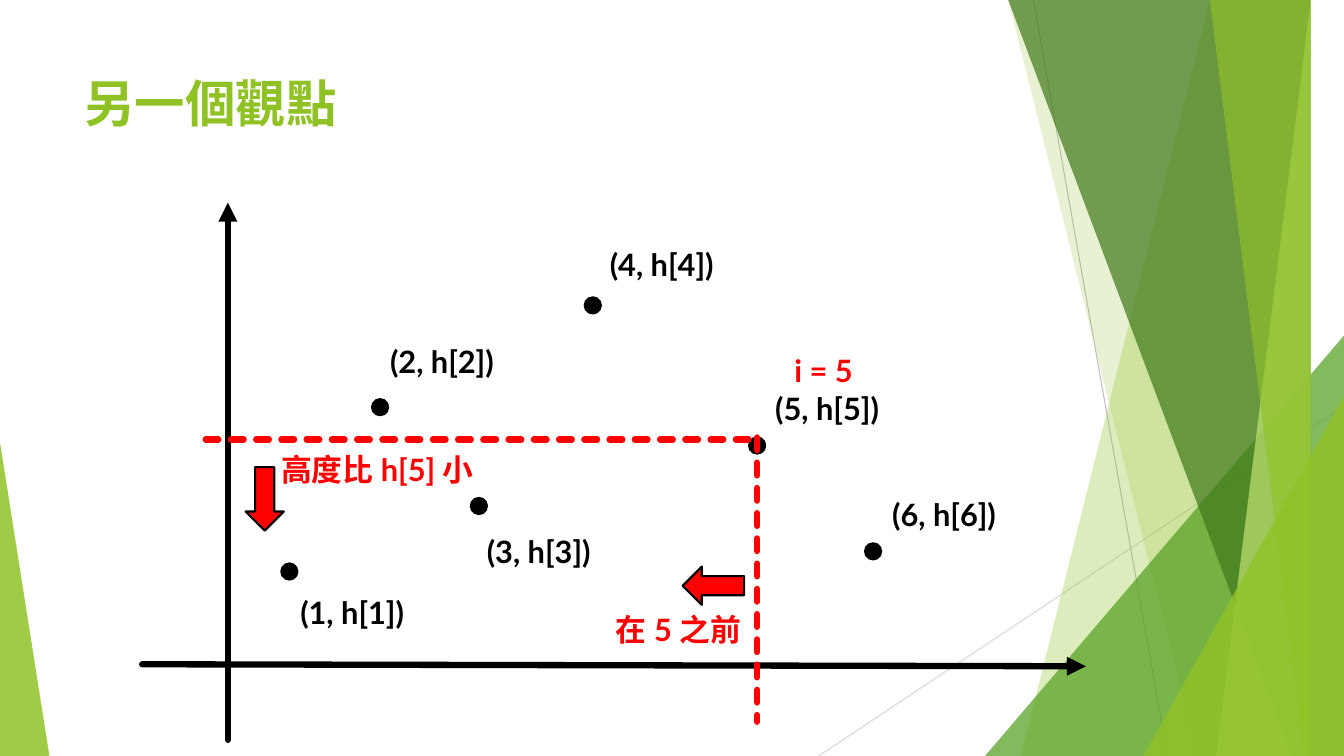
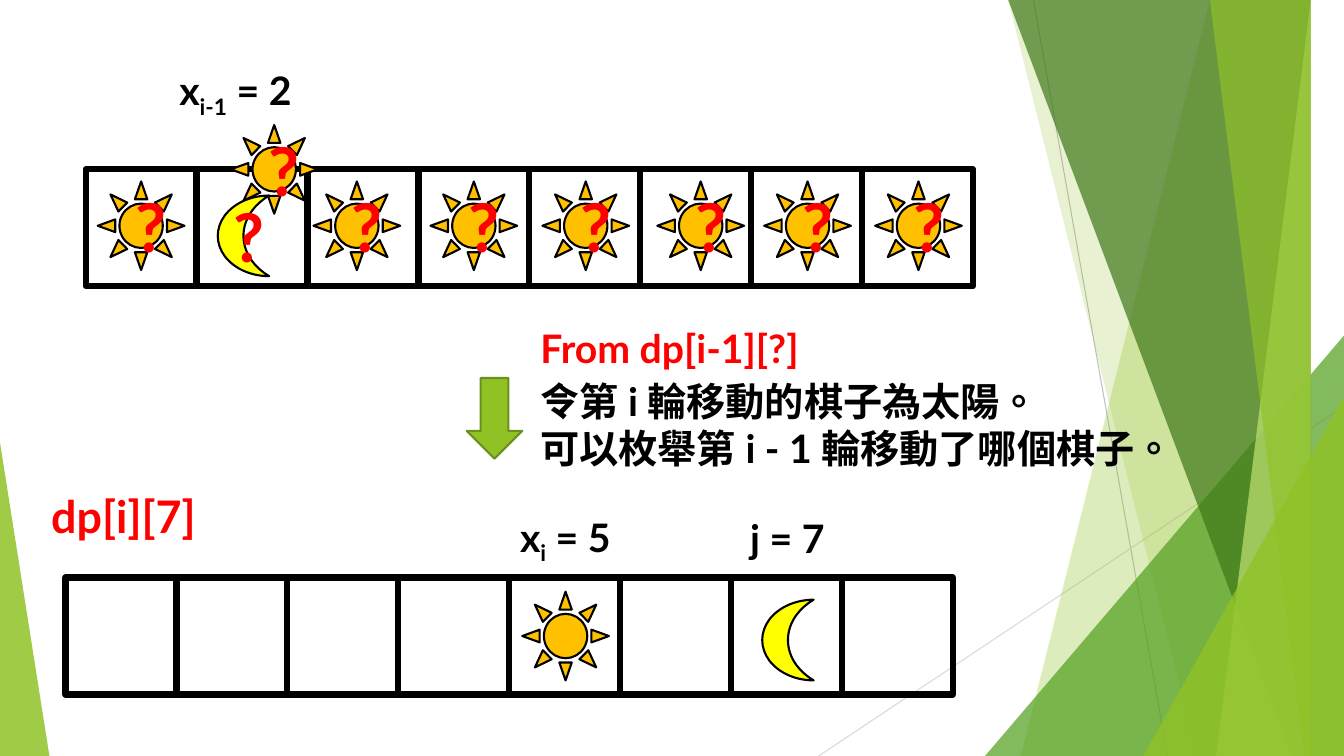
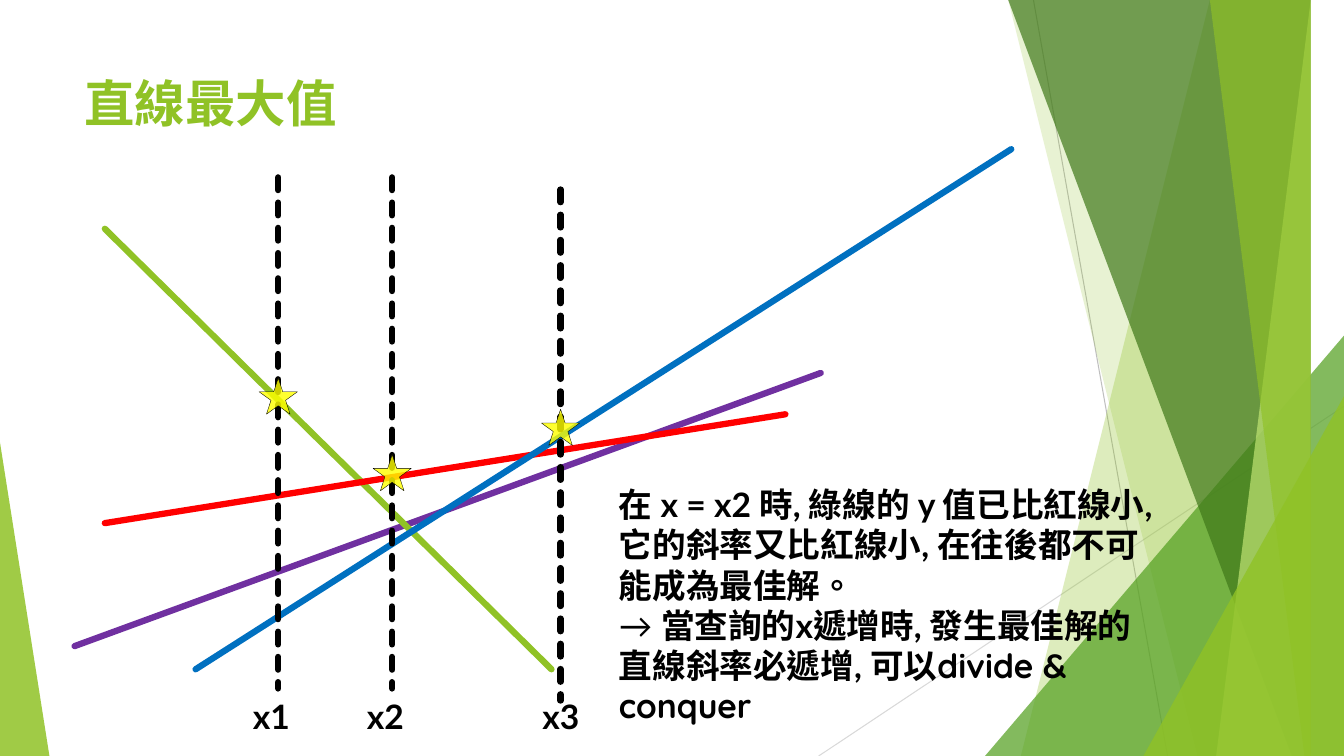
from dataclasses import dataclass

from lxml import etree
from pptx import Presentation, util as u
from pptx.dml.color import RGBColor
from pptx.enum import dml, lang, shapes, text
from pptx.oxml.ns import qn

KIND = shapes.MSO_SHAPE


@dataclass(frozen=True)
class Theme:
    """Colours, fonts and sizes shared by the slides."""
    green: str = "90C226"
    leaf: str = "54A021"
    dark: str = "3F7819"
    lime: str = "C0E474"
    edge: str = "6B901C"
    black: str = "000000"
    red: str = "FF0000"
    gold: str = "FFC000"
    yellow: str = "FFFF00"
    blue: str = "0070C0"
    purple: str = "7030A0"
    gray: str = "BFBFBF"
    pale: str = "D9D9D9"
    font: str = "Lato"
    alt: str = "Quicksand"
    title: int = 36
    label: int = 22
    body: int = 24
    note: int = 28
    state: int = 32
    mark: int = 48
    thick: float = 4.5
    thin: float = 1.5
    hair: float = 0.75
    fine: float = 0.25


T = Theme()


def paint(shape, fill=None, line=None, width=T.thin, alpha=100):
    """Set the fill, opacity and outline of a shape."""
    shape.shadow.inherit = False
    if fill:
        shape.fill.solid()
        shape.fill.fore_color.rgb = RGBColor.from_string(fill)
        if alpha < 100:
            tone = shape._element.spPr.find(qn("a:solidFill"))[0]
            etree.SubElement(tone, qn("a:alpha"), val=str(alpha * 1000))
    else:
        shape.fill.background()
    if line:
        shape.line.color.rgb = RGBColor.from_string(line)
        shape.line.width = u.Pt(width)
    else:
        shape.line.fill.background()
    return shape


def write(para, words, size, color, bold=True, base=0, font=T.font):
    """Add one styled run to a paragraph."""
    run = para.add_run()
    run.text = words
    run.font.size = u.Pt(size)
    run.font.bold = bold
    run.font.name = font
    run.font.color.rgb = RGBColor.from_string(color)
    run.font.language_id = lang.MSO_LANGUAGE_ID.TRADITIONAL_CHINESE
    props = run._r.get_or_add_rPr()
    props.find(qn("a:latin")).addnext(props.makeelement(qn("a:ea"), {"typeface": T.font}))
    if base:
        props.set("baseline", str(base * 1000))


class Box:
    """A region of a slide whose items are placed from its top left corner."""

    def __init__(self, page, x=0, y=0):
        """Keep the slide and the corner."""
        self.page, self.x, self.y = page, x, y

    def spot(self, x, y):
        """Return a point of the region as slide lengths."""
        return u.Inches(self.x + x), u.Inches(self.y + y)

    def shape(self, kind, x, y, w, h, turn=0, **look):
        """Add a painted preset shape."""
        shape = self.page.shapes.add_shape(kind, *self.spot(x, y), u.Inches(w), u.Inches(h))
        shape.rotation = turn
        return paint(shape, **look)

    def line(self, start, end, color=T.black, width=T.thick, dash=False, head=False):
        """Add a straight line, dashed or with an arrowhead on request."""
        line = self.page.shapes.add_connector(
            shapes.MSO_CONNECTOR.STRAIGHT, *self.spot(*start), *self.spot(*end))
        line.line.color.rgb = RGBColor.from_string(color)
        line.line.width = u.Pt(width)
        if dash:
            line.line.dash_style = dml.MSO_LINE.SQUARE_DOT
        stroke = line._element.spPr.find(qn("a:ln"))
        stroke.set("cap", "rnd")
        if head:
            etree.SubElement(stroke, qn("a:tailEnd"), type="triangle")
        etree.SubElement(line._element.spPr, qn("a:effectLst"))

    def text(self, x, y, w, h, paras, size, color=T.black, align=None):
        """Add a text box; each paragraph is a list of (words, style) runs."""
        area = self.page.shapes.add_textbox(*self.spot(x, y), u.Inches(w), u.Inches(h))
        frame = area.text_frame
        frame.word_wrap = True
        for i, runs in enumerate(paras):
            para = frame.add_paragraph() if i else frame.paragraphs[0]
            para.alignment = align
            for words, style in runs:
                write(para, words, size, color, **style)

    def label(self, x, y, w, h, words, size, color=T.black, align=None):
        """Add a text box with a single run."""
        self.text(x, y, w, h, [[(words, {})]], size, color, align)


def decor(page):
    """Draw the green facets at both sides of a slide."""
    box = Box(page)
    box.line((10.25, 0), (11.58, 7.5), T.gray, T.hair)
    box.line((13.33, 4.03), (8.12, 7.5), T.pale, T.hair)

    def band(top, foot, fill, alpha):
        """Fill from a slanted edge to the right side."""
        form = page.shapes.build_freeform(top, 0, scale=u.Inches(1))
        form.add_line_segments([(13.33, 0), (13.33, 7.5), (foot, 7.5)], close=True)
        paint(form.convert_to_shape(), fill, alpha=alpha)

    def wedge(x, y, w, tip, fill, alpha):
        """Stand a triangle on the lower edge."""
        facet = box.shape(KIND.ISOSCELES_TRIANGLE, x, y, w, 7.5 - y, fill=fill, alpha=alpha)
        facet.adjustments[0] = tip

    band(12.28, 10.04, T.green, 30)
    band(10.5, 11.83, T.green, 20)
    wedge(9.77, 3.33, 3.56, 1, T.leaf, 72)
    band(10.21, 12.91, T.dark, 70)
    band(13.03, 11.92, T.lime, 70)
    band(11.96, 13.18, T.green, 65)
    wedge(11.34, 3.93, 1.99, 1, T.green, 80)
    wedge(0, 4.39, 0.49, 0, T.green, 85)


def start(deck, title=None):
    """Add a decorated slide with an optional title."""
    page = deck.slides.add_slide(deck.slide_layouts[6])
    decor(page)
    if title:
        Box(page).label(0.74, 0.67, 9.4, 1.44, title, T.title, T.green)
    return page


def plot(box):
    """Draw the points, the axes and the query region."""
    box.line((1.26, 5.34), (1.26, 0.01), head=True)
    box.line((0.41, 4.59), (9.77, 4.61), head=True)
    spots = [(1.79, 3.59, 1.88, 3.84), (2.69, 1.96, 2.77, 1.35),
             (3.67, 2.94, 3.73, 3.24), (4.8, 0.95, 4.95, 0.39),
             (6.43, 2.34, 6.59, 1.82), (7.58, 3.39, 7.75, 2.87)]
    for i, (x, y, left, top) in enumerate(spots, 1):
        box.shape(KIND.OVAL, x, y, 0.16, 0.16, fill=T.black, line=T.black)
        box.label(left, top, 1.43, 0.47, f"({i}, h[{i}])", T.label)
    box.line((1.04, 2.36), (6.45, 2.36), T.red, dash=True)
    box.line((6.51, 2.34), (6.51, 5.16), T.red, dash=True)
    for x, y, w, turn in [(5.77, 3.62, 0.61, 180), (1.31, 2.76, 0.63, 90)]:
        box.shape(KIND.RIGHT_ARROW, x, y, w, 0.38, turn, fill=T.red, line=T.black)
    for x, y, w, words in [(6.78, 1.44, 0.84, "i = 5"), (5.01, 4.01, 1.49, "在 5 之前"),
                           (1.69, 2.42, 2.23, "高度比 h[5] 小")]:
        box.label(x, y, w, 0.47, words, T.label, T.red)


def token(box, kind, x, y, mark=None):
    """Place a sun or a moon, with a mark on it if given."""
    w, h, fill = (0.86, 0.88, T.gold) if kind == KIND.SUN else (0.51, 0.8, T.yellow)
    piece = box.shape(kind, x, y, w, h, fill=fill, line=T.black)
    if mark:
        para = piece.text_frame.paragraphs[0]
        para.alignment = text.PP_ALIGN.CENTER
        write(para, mark, T.mark, T.red)


def cells(box):
    """Draw a row of eight board cells."""
    for i in range(8):
        box.shape(KIND.RECTANGLE, 1.1 * i, 0, 1.1, 1.16, line=T.black, width=T.thick)


def index(box, x, y, sub, value):
    """Write a position with its subscript above a row."""
    box.text(x, y, 2.74, 0.57, [[("x", {}), (sub, {"base": -25}), (f" = {value}", {})]], T.note)


def before(box):
    """Draw the board of the previous round."""
    cells(box)
    for x in (0.12, 2.26, 3.42, 4.53, 5.67, 6.73, 7.83):
        token(box, KIND.SUN, x, 0.12, "?")
    token(box, KIND.SUN, 1.44, -0.44, "?")
    token(box, KIND.MOON, 1.31, 0.26, "?")
    index(box, 0.83, -1.07, "i-1", 2)


def step(box):
    """Explain the move between the two boards."""
    box.shape(KIND.DOWN_ARROW, 0, 0.58, 0.55, 0.8, fill=T.green, line=T.edge)
    box.label(0.63, 0, 4.28, 0.57, "From dp[i-1][?]", T.note, T.red)
    box.text(0.63, 0.52, 6.7, 1.04, [[("令第 i 輪移動的棋子為太陽。", {})],
                                     [("可以枚舉第 i - 1 輪移動了哪個棋子。", {})]], T.note)


def after(box):
    """Draw the board of the current round."""
    cells(box)
    token(box, KIND.SUN, 4.53, 0.14)
    token(box, KIND.MOON, 6.91, 0.22)
    box.label(-0.24, -0.93, 2.32, 0.64, "dp[i][7]", T.state, T.red)
    index(box, 4.41, -0.69, "i", 5)
    box.label(5.79, -0.68, 2.74, 0.57, "j = 7", T.note, align=text.PP_ALIGN.CENTER)


def lines(box):
    """Draw the four lines, the queries and their best points."""
    for head, tail, color in [((0.24, 5.41), (7.64, 2.7), T.purple),
                              ((0.54, 1.27), (4.97, 5.64), T.green),
                              ((0.54, 4.19), (7.29, 3.11), T.red),
                              ((9.53, 0.48), (1.44, 5.64), T.blue)]:
        box.line(head, tail, color)
    for i, (x, top, best) in enumerate([(2.26, 0.76, 2.75), (3.39, 0.76, 3.51),
                                        (5.06, 0.88, 3.06)], 1):
        box.line((x, top), (x, top + 5.07), dash=True)
        box.shape(KIND.STAR_5_POINT, x - 0.19, best, 0.38, 0.36, fill=T.yellow,
                  line=T.black, width=T.fine, alpha=81)
    for i, x in enumerate((1.91, 3.04, 4.78), 1):
        box.label(x, 5.85, 0.71, 0.5, f"x{i}", T.body)


def reason(box):
    """Write why the best slope keeps growing."""
    box.text(0, 0, 5.56, 2.52, [
        [("在 x = x2 時, 綠線的 y 值已比紅線小, 它的斜率又比紅線小, 在往後都不可能成為最佳解。", {})],
        [("→ ", {"bold": False}),
         ("當查詢的x遞增時, 發生最佳解的直線斜率必遞增, 可以", {}),
         ("divide & conquer", {"font": T.alt})]], T.body)


def main():
    """Build the three slides and save them."""
    deck = Presentation()
    deck.slide_width, deck.slide_height = u.Inches(13.33), u.Inches(7.5)
    plot(Box(start(deck, "另一個觀點"), 1, 2))
    board = start(deck)
    after(Box(board, 0.65, 5.73))
    before(Box(board, 0.85, 1.68))
    step(Box(board, 4.63, 3.17))
    graph = start(deck, "直線最大值")
    lines(Box(graph, 0.5, 1))
    reason(Box(graph, 6.04, 4.75))
    deck.save("out.pptx")


if __name__ == "__main__":
    main()
